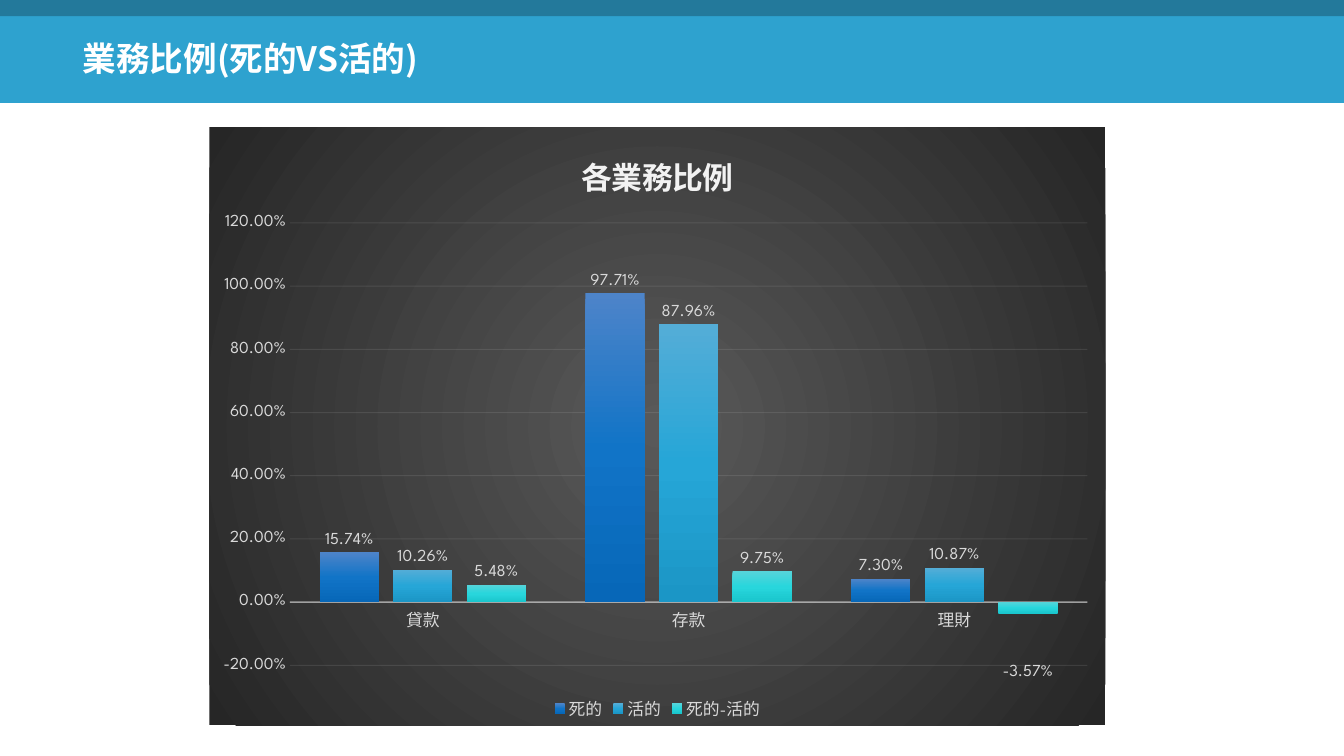
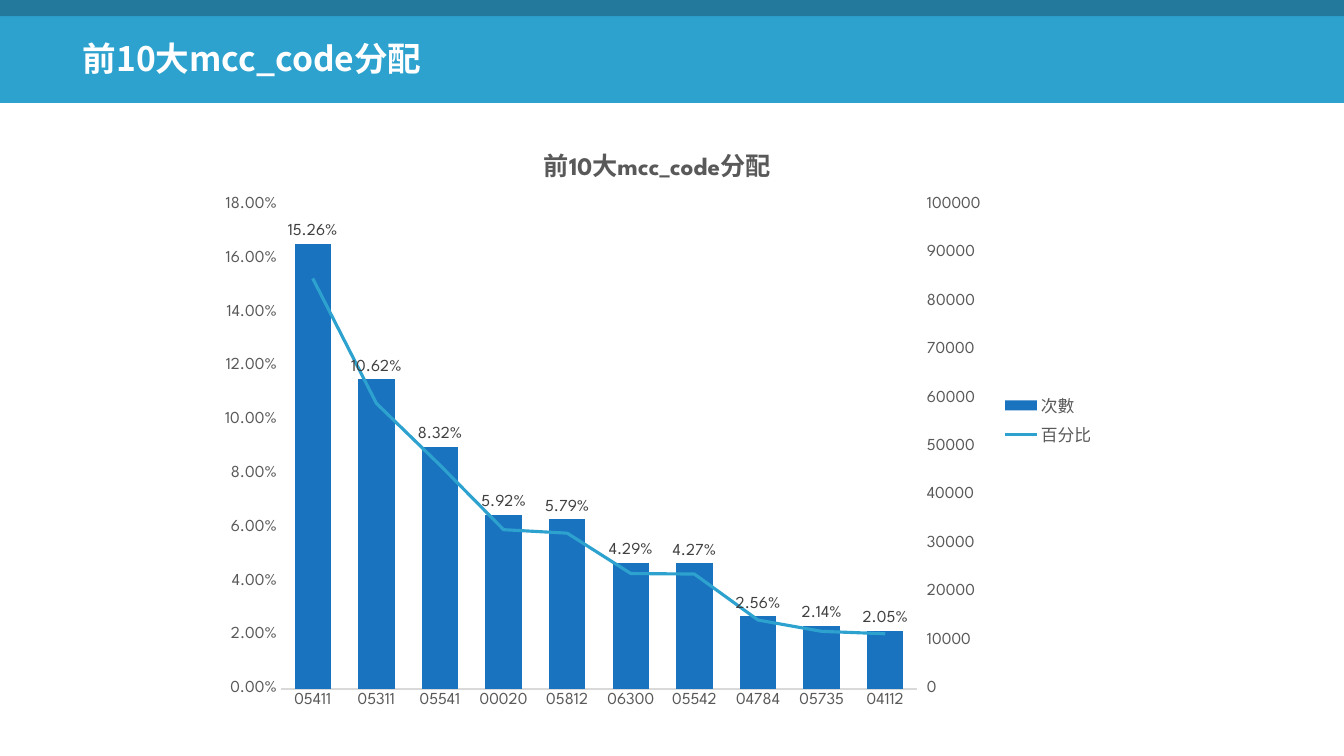
"""Build two chart slides about business shares and merchant codes."""
from copy import deepcopy
from dataclasses import dataclass

from pptx import Presentation
from pptx.chart.axis import ValueAxis
from pptx.chart.chart import Chart
from pptx.chart.data import CategoryChartData
from pptx.dml.color import RGBColor
from pptx.enum.chart import (XL_CHART_TYPE, XL_LABEL_POSITION, XL_LEGEND_POSITION,
                             XL_MARKER_STYLE, XL_TICK_LABEL_POSITION, XL_TICK_MARK)
from pptx.enum.shapes import MSO_SHAPE
from pptx.enum.text import MSO_ANCHOR
from pptx.oxml import parse_xml
from pptx.oxml.ns import nsdecls, qn
from pptx.slide import Slide
from pptx.util import Pt

RECT = MSO_SHAPE.RECTANGLE
MIDDLE = MSO_ANCHOR.MIDDLE
COLUMNS = XL_CHART_TYPE.COLUMN_CLUSTERED
NO_TICK = XL_TICK_MARK.NONE
NO_MARKER = XL_MARKER_STYLE.NONE
FAR_SIDE = XL_TICK_LABEL_POSITION.HIGH
ABOVE = XL_LABEL_POSITION.ABOVE
OUTSIDE = XL_LABEL_POSITION.OUTSIDE_END
BOTTOM = XL_LEGEND_POSITION.BOTTOM
RIGHT = XL_LEGEND_POSITION.RIGHT
PERCENT = "0.00%"


@dataclass(frozen=True)
class Theme:
    band: str = "2EA2CF"
    strip: str = "23799B"
    white: str = "FFFFFF"
    light: str = "D9D9D9"
    pale: str = "F2F2F2"
    grey: str = "595959"
    dark: str = "404040"
    night: str = "262626"
    bar: str = "1973BF"
    title_font: str = "Noto Sans CJK SC"
    chart_font: str = "League Spartan"
    title_size: float = 24
    label_size: float = 12


@dataclass(frozen=True)
class Box:
    left: float
    top: float
    width: float
    height: float

    def points(self) -> tuple:
        return tuple(Pt(v) for v in (self.left, self.top, self.width, self.height))


@dataclass(frozen=True)
class Band:
    box: Box
    color: str


@dataclass(frozen=True)
class ChartStyle:
    title: str
    title_size: float
    title_color: str
    text_color: str
    grid_color: str
    legend: XL_LEGEND_POSITION
    gap: int
    overlap: int
    plot: Box


@dataclass(frozen=True)
class Business:
    name: str
    values: tuple
    colors: tuple


T = Theme()
BANDS = (Band(Box(0, 0, 960, 73.5), T.band), Band(Box(0, 0, 960, 11.5), T.strip))
TITLE_BOX = Box(52, 20.5, 418, 42)
SHARE_BOX = Box(149.5, 91, 640, 427)
MCC_BOX = Box(149.5, 86.5, 640, 427)

SHARE_STYLE = ChartStyle("各業務比例", 22, T.pale, T.light, T.pale, BOTTOM,
                         100, -24, Box(0.09, 0.16, 0.89, 0.74))
MCC_STYLE = ChartStyle("前10大mcc_code分配", 18, T.grey, T.grey, T.light, RIGHT,
                       75, 40, Box(0.08, 0.14, 0.71, 0.81))

KINDS = ("貸款", "存款", "理財")
BUSINESSES = (
    Business("死的", (0.1574, 0.9771, 0.073), ("4D84C9", "1174C7", "0767B8")),
    Business("活的", (0.1026, 0.8796, 0.1087), ("54ADD7", "26A6D7", "1B96C6")),
    Business("死的-活的", (0.0548, 0.0975, -0.0357), ("56D4DA", "28D6DC", "1AC6CD")),
)

CODES = ("05411", "05311", "05541", "00020", "05812",
         "06300", "05542", "04784", "05735", "04112")
COUNTS = (92000, 64000, 50000, 36000, 35000, 26000, 26000, 15000, 13000, 12000)
SHARES = (0.1526, 0.1062, 0.0832, 0.0592, 0.0579,
          0.0429, 0.0427, 0.0256, 0.0214, 0.0205)
COUNT_MAX = 100000
SHARE_MAX = 0.18


def rgb(color: str) -> RGBColor:
    return RGBColor.from_string(color)


def set_font(font, size: float, color: str, name: str, bold: bool = False) -> None:
    font.size, font.name, font.bold = Pt(size), name, bold
    font.color.rgb = rgb(color)


def add_frame(prs: Presentation, title: str) -> Slide:
    slide = prs.slides.add_slide(prs.slide_layouts[6])
    for band in BANDS:
        sp = slide.shapes.add_shape(RECT, *band.box.points())
        sp.shadow.inherit = False
        sp.fill.solid()
        sp.fill.fore_color.rgb = rgb(band.color)
        sp.line.fill.background()
    tf = slide.shapes.add_textbox(*TITLE_BOX.points()).text_frame
    tf.word_wrap = True
    tf.vertical_anchor = MIDDLE
    p = tf.paragraphs[0]
    p.text = title
    p.space_before = Pt(10)
    set_font(p.font, T.title_size, T.white, T.title_font, True)
    return slide


def gradient(colors: tuple, direction: str):
    step = 100000 // (len(colors) - 1)
    stops = "".join(f'<a:gs pos="{i * step}"><a:srgbClr val="{c}"/></a:gs>'
                    for i, c in enumerate(colors))
    return parse_xml(f'<a:gradFill {nsdecls("a")} rotWithShape="1">'
                     f'<a:gsLst>{stops}</a:gsLst>{direction}</a:gradFill>')


def set_alpha(chart: Chart, owner: str, percent: int) -> None:
    for color in chart.element.xpath(f".//{owner}/c:spPr//a:srgbClr"):
        color.append(parse_xml(f'<a:alpha {nsdecls("a")} val="{percent * 1000}"/>'))


def set_scale(axis: ValueAxis, low: float, high: float, step: float, fmt: str) -> None:
    axis.minimum_scale, axis.maximum_scale, axis.major_unit = low, high, step
    axis.tick_labels.number_format = fmt
    axis.tick_labels.number_format_is_linked = False


def set_labels(chart: Chart, series, color: str, position: XL_LABEL_POSITION) -> None:
    labels = series.data_labels
    labels.show_value = True
    labels.number_format, labels.number_format_is_linked = PERCENT, False
    labels.position = position
    set_font(labels.font, T.label_size, color, T.chart_font)
    for leader in chart.element.xpath(".//c:showLeaderLines"):
        leader.set("val", "0")


def shift_label(chart: Chart, series, index: int, dy: float, color: str,
                position: XL_LABEL_POSITION) -> None:
    label = series.points[index].data_label
    set_font(label.font, T.label_size, color, T.chart_font)
    label.position = position
    node = chart.element.xpath(
        f'.//c:ser[c:tx//c:v="{series.name}"]//c:dLbl[c:idx/@val="{index}"]')[0]
    layout = parse_xml(f'<c:layout {nsdecls("c")}><c:manualLayout><c:x val="0"/>'
                       f'<c:y val="{dy:.3f}"/></c:manualLayout></c:layout>')
    fmt = parse_xml(f'<c:numFmt {nsdecls("c")} formatCode="{PERCENT}" sourceLinked="0"/>')
    node.find(qn("c:idx")).addnext(layout)
    layout.addnext(fmt)


def place_plot(chart: Chart, plot: Box) -> None:
    area = chart.element.find(".//" + qn("c:plotArea"))
    for old in area.findall(qn("c:layout")):
        area.remove(old)
    sizes = zip("xywh", (plot.left, plot.top, plot.width, plot.height))
    area.insert(0, parse_xml(
        f'<c:layout {nsdecls("c")}><c:manualLayout><c:layoutTarget val="inner"/>'
        '<c:xMode val="edge"/><c:yMode val="edge"/>'
        + "".join(f'<c:{k} val="{v}"/>' for k, v in sizes)
        + "</c:manualLayout></c:layout>"))


def add_columns(slide: Slide, box: Box, data: CategoryChartData, style: ChartStyle) -> Chart:
    chart = slide.shapes.add_chart(COLUMNS, *box.points(), data).chart
    set_font(chart.font, T.label_size, style.text_color, T.chart_font)
    chart.has_title = True
    p = chart.chart_title.text_frame.paragraphs[0]
    p.text = style.title
    set_font(p.font, style.title_size, style.title_color, T.chart_font, True)
    chart.has_legend = True
    chart.legend.position = style.legend
    chart.legend.include_in_layout = False
    set_font(chart.legend.font, T.label_size, style.text_color, T.chart_font)
    plot = chart.plots[0]
    plot.gap_width, plot.overlap, plot.vary_by_categories = style.gap, style.overlap, False
    for axis in (chart.category_axis, chart.value_axis):
        axis.major_tick_mark = axis.minor_tick_mark = NO_TICK
        set_font(axis.tick_labels.font, T.label_size, style.text_color, T.chart_font)
    chart.value_axis.format.line.fill.background()
    grid = chart.value_axis.major_gridlines.format.line
    grid.width, grid.color.rgb = Pt(0.75), rgb(style.grid_color)
    axis_line = chart.category_axis.format.line
    axis_line.width, axis_line.color.rgb = Pt(1), rgb(style.grid_color)
    place_plot(chart, style.plot)
    return chart


def add_share_chart(slide: Slide) -> None:
    data = CategoryChartData(number_format=PERCENT)
    data.categories = KINDS
    for b in BUSINESSES:
        data.add_series(b.name, b.values)
    chart = add_columns(slide, SHARE_BOX, data, SHARE_STYLE)
    set_scale(chart.value_axis, -0.2, 1.2, 0.2, PERCENT)
    set_alpha(chart, "c:majorGridlines", 10)
    set_alpha(chart, "c:catAx", 54)
    nodes = chart.element.findall(".//" + qn("c:ser"))
    for series, node, b in zip(chart.plots[0].series, nodes, BUSINESSES):
        series.invert_if_negative = False
        series.format.fill.solid()
        fill = node.find(qn("c:spPr")).find(qn("a:solidFill"))
        fill.getparent().replace(fill, gradient(b.colors, '<a:lin ang="5400000" scaled="0"/>'))
        set_labels(chart, series, T.light, OUTSIDE)
    shift_label(chart, chart.plots[0].series[2], 2, 0.08, T.light, OUTSIDE)
    sp_pr = parse_xml(f'<c:spPr {nsdecls("c", "a")}><a:ln><a:noFill/></a:ln></c:spPr>')
    sp_pr.insert(0, gradient((T.grey, T.night),
                             '<a:path path="circle"><a:fillToRect l="50000" t="50000" '
                             'r="50000" b="50000"/></a:path>'))
    chart.element.find(qn("c:chart")).addnext(sp_pr)


def split_line(chart: Chart) -> None:
    bars = chart.element.find(".//" + qn("c:barChart"))
    ser = bars.findall(qn("c:ser"))[1]
    for flag in ser.findall(qn("c:invertIfNegative")):
        ser.remove(flag)
    line = parse_xml(f'<c:lineChart {nsdecls("c")}><c:grouping val="standard"/>'
                     '<c:varyColors val="0"/><c:marker val="1"/>'
                     '<c:axId val="1001"/><c:axId val="1002"/></c:lineChart>')
    line.insert(2, ser)
    bars.addnext(line)
    cat = chart.element.find(".//" + qn("c:catAx"))
    val = chart.element.find(".//" + qn("c:valAx"))
    line_cat, line_val = deepcopy(cat), deepcopy(val)
    for axis, own, other in ((line_cat, "1001", "1002"), (line_val, "1002", "1001")):
        axis.find(qn("c:axId")).set("val", own)
        axis.find(qn("c:crossAx")).set("val", other)
    val.addnext(line_val)
    line_val.addnext(line_cat)


def add_mcc_chart(slide: Slide) -> None:
    data = CategoryChartData()
    data.categories = CODES
    data.add_series("次數", COUNTS, "0")
    data.add_series("百分比", SHARES, PERCENT)
    chart = add_columns(slide, MCC_BOX, data, MCC_STYLE)
    count_axis, hidden_axis = chart.value_axis, chart.category_axis
    set_scale(count_axis, 0, SHARE_MAX, 0.02, PERCENT)
    split_line(chart)
    count_axis.has_major_gridlines = False
    set_scale(count_axis, 0, COUNT_MAX, 10000, "0")
    count_axis.tick_label_position = FAR_SIDE
    hidden_axis.visible = False
    bars, line = (plot.series[0] for plot in chart.plots)
    bars.format.fill.solid()
    bars.format.fill.fore_color.rgb = rgb(T.bar)
    line.smooth = False
    line.marker.style = NO_MARKER
    line.format.line.width = Pt(2.25)
    line.format.line.color.rgb = rgb(T.band)
    set_labels(chart, line, T.dark, ABOVE)
    for i, (count, share) in enumerate(zip(COUNTS, SHARES)):
        lift = (count / COUNT_MAX - share / SHARE_MAX) * MCC_STYLE.plot.height
        shift_label(chart, line, i, -lift, T.dark, ABOVE)


def main() -> None:
    prs = Presentation()
    prs.slide_width, prs.slide_height = Pt(960), Pt(540)
    add_share_chart(add_frame(prs, "業務比例(死的VS活的)"))
    add_mcc_chart(add_frame(prs, "前10大mcc_code分配"))
    prs.save("out.pptx")


if __name__ == "__main__":
    main()
